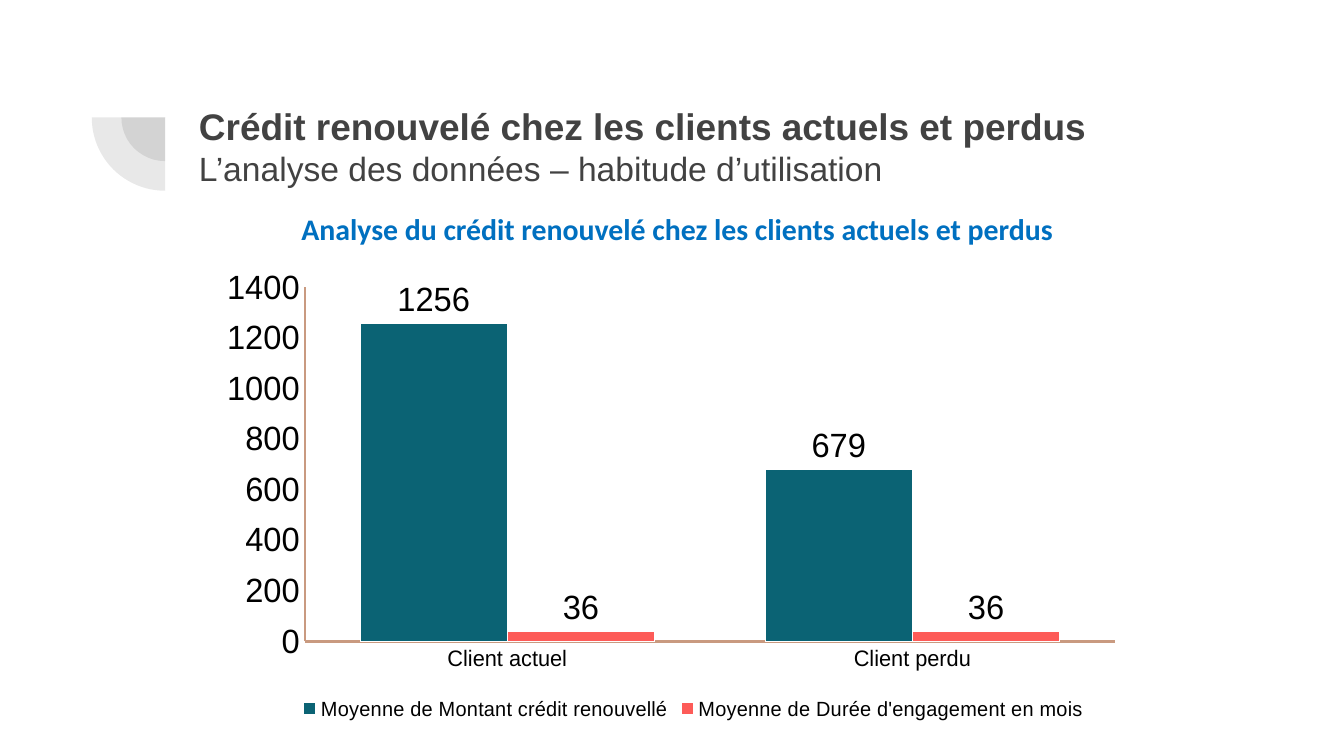
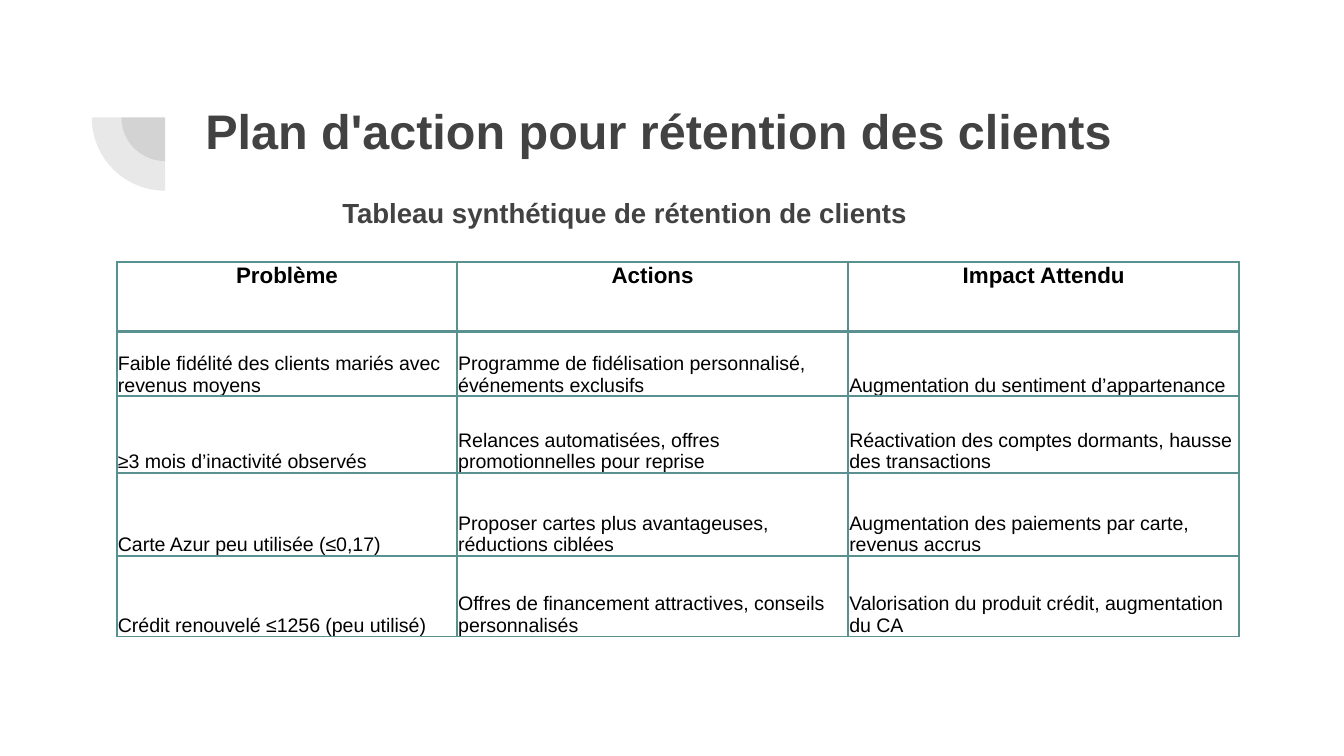
"""Build two slides on customer credit use and the retention plan."""
from lxml.etree import SubElement
from pptx import Presentation
from pptx.chart.data import CategoryChartData
from pptx.dml.color import RGBColor
from pptx.enum.chart import XL_CHART_TYPE, XL_LABEL_POSITION, XL_LEGEND_POSITION, XL_TICK_MARK
from pptx.enum.shapes import MSO_SHAPE
from pptx.enum.text import MSO_ANCHOR, MSO_AUTO_SIZE, PP_ALIGN
from pptx.oxml import parse_xml
from pptx.oxml.ns import nsdecls, qn
from pptx.util import Cm, Pt

COLORS = {
    "text": "424242", "black": "000000", "white": "FFFFFF", "caption": "0070C0",
    "amount": "0B6374", "duration": "FD5B58", "axis": "C99A80", "border": "599191",
}
FONT = "Arial"

CREDIT_TITLE = [
    ("Crédit renouvelé chez les clients actuels et perdus", 19.8, True),
    ("L’analyse des données – habitude d’utilisation", 18, False),
]
CREDIT_CAPTION = "Analyse du crédit renouvelé chez les clients actuels et perdus"
CATEGORIES = ["Client actuel", "Client perdu"]
SERIES = [
    ("Moyenne de Montant crédit renouvellé", [1256, 679], "amount"),
    ("Moyenne de Durée d'engagement en mois", [36, 36], "duration"),
]
PLOT_AREA = {"x": 0.059, "y": 0.046, "w": 0.919, "h": 0.77}

PLAN_TITLE = [("Plan d'action pour rétention des clients", 26, True)]
PLAN_SUBTITLE = "Tableau synthétique de rétention de clients"
PLAN_ROWS = [
    ("Problème", "Actions", "Impact Attendu"),
    ("Faible fidélité des clients mariés avec revenus moyens",
     "Programme de fidélisation personnalisé, événements exclusifs",
     "Augmentation du sentiment d’appartenance"),
    ("≥3 mois d’inactivité observés",
     "Relances automatisées, offres promotionnelles pour reprise",
     "Réactivation des comptes dormants, hausse des transactions"),
    ("Carte Azur peu utilisée (≤0,17)",
     "Proposer cartes plus avantageuses, réductions ciblées",
     "Augmentation des paiements par carte, revenus accrus"),
    ("Crédit renouvelé ≤1256 (peu utilisé)",
     "Offres de financement attractives, conseils personnalisés",
     "Valorisation du produit crédit, augmentation du CA"),
]
COLUMN_WIDTHS = [6.43, 7.39, 7.39]
ROW_HEIGHTS = [1.32, 1.22, 1.45, 1.57, 1.52]

MOTIF_CENTER = (3.12, 2.22)
MOTIF_DIAMETERS = (1.65, 2.77)


def rgb(name):
    return RGBColor.from_string(COLORS[name])


def set_font(font, size, color, bold=False, name=FONT):
    font.name = name
    font.size = Pt(size)
    font.bold = bold
    font.color.rgb = rgb(color)


def set_insets(target, inset):
    target.margin_left = target.margin_right = Cm(inset)
    target.margin_top = target.margin_bottom = Cm(inset)


def add_motif(slide):
    for diameter in MOTIF_DIAMETERS:
        left, top = (Cm(center - diameter / 2) for center in MOTIF_CENTER)
        quarter = slide.shapes.add_shape(MSO_SHAPE.PIE, left, top, Cm(diameter), Cm(diameter))
        quarter.adjustments[0] = 108
        quarter.adjustments[1] = 162
        quarter.rotation = 270
        quarter.shadow.inherit = False
        quarter.line.fill.background()
        quarter.fill.solid()
        quarter.fill.fore_color.rgb = rgb("text")
        color = quarter.fill._xPr.find(".//" + qn("a:srgbClr"))
        SubElement(color, qn("a:alpha"), val="12000")


def add_page(deck, title_lines, left, top, height):
    page = deck.slides.add_slide(deck.slide_layouts[5])
    add_motif(page)
    title = page.shapes.title
    title.left, title.top, title.width, title.height = Cm(left), Cm(top), Cm(19.53), Cm(height)
    frame = title.text_frame
    frame.text = "\v".join(text for text, _, _ in title_lines)
    frame.word_wrap = True
    frame.auto_size = MSO_AUTO_SIZE.NONE
    frame.vertical_anchor = MSO_ANCHOR.TOP
    set_insets(frame, 0.25)
    para = frame.paragraphs[0]
    para.alignment = PP_ALIGN.LEFT
    for span, (_, size, bold) in zip(para.runs, title_lines):
        set_font(span.font, size, "text", bold)
    return page


def add_text(page, text, place, size, color, font_name=FONT):
    box = page.shapes.add_textbox(*map(Cm, place))
    box.text_frame.text = text
    para = box.text_frame.paragraphs[0]
    set_font(para.runs[0].font, size, color, True, font_name)
    return box.text_frame, para


def style_axis(axis, size, line_width):
    axis.has_major_gridlines = False
    axis.major_tick_mark = axis.minor_tick_mark = XL_TICK_MARK.NONE
    axis.format.line.color.rgb = rgb("axis")
    axis.format.line.width = Pt(line_width)
    set_font(axis.tick_labels.font, size, "black")


def add_credit_chart(page):
    data = CategoryChartData(number_format="0")
    data.categories = CATEGORIES
    for name, values, _ in SERIES:
        data.add_series(name, values)
    chart = page.shapes.add_chart(
        XL_CHART_TYPE.COLUMN_CLUSTERED, Cm(4.29), Cm(5.03), Cm(17.15), Cm(8.69), data).chart
    set_font(chart.font, 18, "black")
    chart.has_title = False
    chart.has_legend = True
    chart.legend.position = XL_LEGEND_POSITION.BOTTOM
    chart.legend.include_in_layout = False
    set_font(chart.legend.font, 11, "black")
    style_axis(chart.category_axis, 12, 1.5)
    style_axis(chart.value_axis, 18, 0.75)
    chart.value_axis.minimum_scale = 0
    chart.value_axis.maximum_scale = 1400
    chart.value_axis.major_unit = 200
    plot = chart.plots[0]
    plot.gap_width = 75
    plot.overlap = 0
    plot.vary_by_categories = False
    for series, (_, _, color) in zip(plot.series, SERIES):
        series.format.fill.solid()
        series.format.fill.fore_color.rgb = rgb(color)
        series.format.line.color.rgb = rgb("white")
        labels = series.data_labels
        labels.show_value = True
        labels.number_format = "0"
        labels.number_format_is_linked = False
        labels.position = XL_LABEL_POSITION.OUTSIDE_END
        set_font(labels.font, 18, "black")
    place_plot(chart)


def place_plot(chart):
    modes = "".join(f'<c:{side}Mode val="edge"/>' for side in "xy")
    sizes = "".join(f'<c:{side} val="{value}"/>' for side, value in PLOT_AREA.items())
    layout = parse_xml(
        f'<c:layout {nsdecls("c")}><c:manualLayout><c:layoutTarget val="inner"/>'
        f'{modes}{sizes}</c:manualLayout></c:layout>')
    area = chart._chartSpace.find(".//" + qn("c:plotArea"))
    for previous in area.findall(qn("c:layout")):
        area.remove(previous)
    area.insert(0, layout)


def set_borders(cell, widths):
    properties = cell._tc.get_or_add_tcPr()
    for position, (side, width) in enumerate(widths.items()):
        properties.insert(position, parse_xml(
            f'<a:ln{side} {nsdecls("a")} w="{Pt(width)}"><a:solidFill>'
            f'<a:srgbClr val="{COLORS["border"]}"/></a:solidFill></a:ln{side}>'))


def add_plan_table(page):
    table = page.shapes.add_table(
        len(PLAN_ROWS), len(COLUMN_WIDTHS), Cm(2.21), Cm(4.95),
        Cm(sum(COLUMN_WIDTHS)), Cm(sum(ROW_HEIGHTS))).table
    table.horz_banding = False
    for column, width in zip(table.columns, COLUMN_WIDTHS):
        column.width = Cm(width)
    for index, (height, texts) in enumerate(zip(ROW_HEIGHTS, PLAN_ROWS)):
        table.rows[index].height = Cm(height)
        header = index == 0
        for cell, text in zip(table.rows[index].cells, texts):
            cell.text = text
            cell.fill.background()
            set_insets(cell, 0.02)
            cell.margin_bottom = 0
            cell.vertical_anchor = MSO_ANCHOR.TOP if header else MSO_ANCHOR.BOTTOM
            para = cell.text_frame.paragraphs[0]
            para.alignment = PP_ALIGN.CENTER if header else PP_ALIGN.LEFT
            set_font(para.runs[0].font, 12 if header else 10.5, "black", header)
            set_borders(cell, {"L": 1, "R": 1, "T": 2 if index == 1 else 1, "B": 2 if header else 1})


def add_credit_page(deck):
    page = add_page(deck, CREDIT_TITLE, 3.51, 1.7, 1.7)
    add_credit_chart(page)
    frame, para = add_text(
        page, CREDIT_CAPTION, (4.17, 3.86, 17.27, 0.94), 16, "caption", "Calibri")
    frame.word_wrap = False
    frame.auto_size = MSO_AUTO_SIZE.SHAPE_TO_FIT_TEXT
    para.alignment = PP_ALIGN.CENTER


def add_plan_page(deck):
    page = add_page(deck, PLAN_TITLE, 3.63, 1.65, 2.77)
    add_plan_table(page)
    frame, para = add_text(page, PLAN_SUBTITLE, (6.22, 3.58, 12.09, 1.07), 14.8, "text")
    frame.word_wrap = True
    set_insets(frame, 0.25)
    para.line_spacing = 0.8


def main():
    deck = Presentation()
    deck.slide_width, deck.slide_height = Cm(25.4), Cm(14.29)
    add_credit_page(deck)
    add_plan_page(deck)
    deck.save("out.pptx")


if __name__ == "__main__":
    main()
